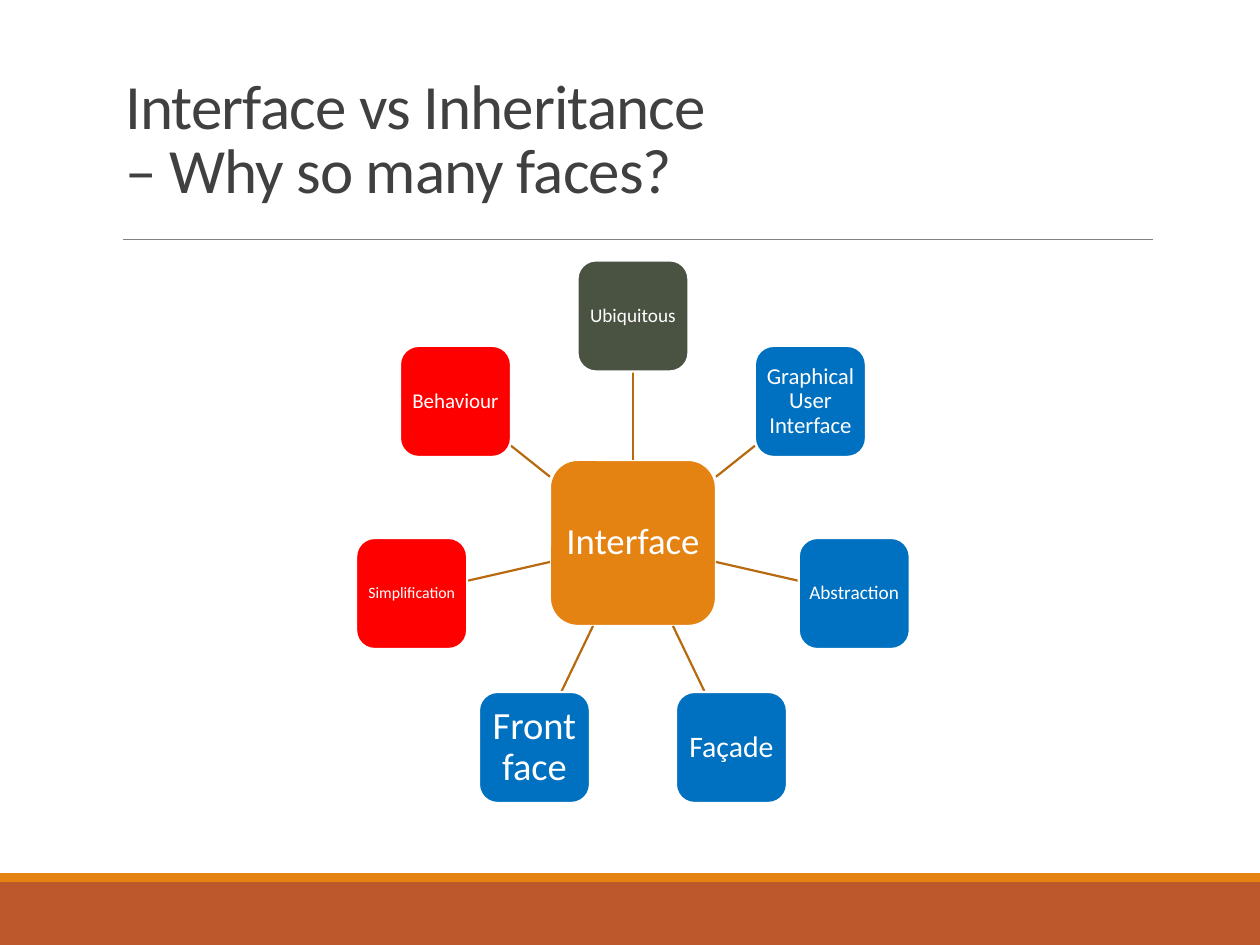
import math

from lxml import etree
from pptx import Presentation
from pptx import util as u
from pptx.dml.color import RGBColor
from pptx.enum import shapes, text
from pptx.oxml.ns import qn

EMU_PER_PX = 914400 / 126
FONT = "Calibri"
COLORS = {
    "rust": "BD582C", "orange": "E48312", "rule": "808080",
    "title": "404040", "spoke": "B7690E", "white": "FFFFFF",
    "olive": "4A5242", "blue": "0070C0", "red": "FF0000",
}

HUB_X, HUB_Y, RADIUS = 633, 543, 227
HUB_SIDE, NODE_SIDE = 166, 111
# Clockwise from the top: label, colour, text size
NODES = [
    ("Ubiquitous", "olive", 11),
    ("Graphical User Interface", "blue", 13),
    ("Abstraction", "blue", 11),
    ("Façade", "blue", 17),
    ("Front face", "blue", 22),
    ("Simplification", "red", 9),
    ("Behaviour", "red", 12),
]


def px(length):
    return u.Emu(round(length * EMU_PER_PX))


def color(name):
    return RGBColor.from_string(COLORS[name])


def style_font(font, size, color_name):
    font.name = FONT
    font.size = u.Pt(size)
    font.color.rgb = color(color_name)


def add_block(slide, kind, left, top, width, height, fill):
    shape = slide.shapes.add_shape(kind, px(left), px(top), px(width), px(height))
    shape.shadow.inherit = False
    shape.fill.solid()
    shape.fill.fore_color.rgb = color(fill)
    shape.line.fill.background()
    return shape


def add_line(slide, start, end, color_name, width):
    line = slide.shapes.add_connector(
        shapes.MSO_CONNECTOR.STRAIGHT, *map(px, (*start, *end)))
    line.line.color.rgb = color(color_name)
    line.line.width = u.Pt(width)
    etree.SubElement(line._element.spPr, qn("a:effectLst"))


def add_title(slide, content):
    box = slide.shapes.add_textbox(px(113), px(39), px(1040), px(174))
    frame = box.text_frame
    frame.word_wrap = True
    frame.vertical_anchor = text.MSO_ANCHOR.BOTTOM
    frame.text = content
    paragraph = frame.paragraphs[0]
    paragraph.line_spacing = 0.85
    for run in paragraph.runs:
        style_font(run.font, 36, "title")
        run.font._element.set("spc", "-50")


def add_node(slide, x, y, side, label, fill, size):
    """Add a rounded square centred on (x, y)."""
    shape = add_block(slide, shapes.MSO_SHAPE.ROUNDED_RECTANGLE,
                      x - side / 2, y - side / 2, side, side, fill)
    shape.line.color.rgb = color("white")
    shape.line.width = u.Pt(1.25)
    frame = shape.text_frame
    frame.word_wrap = True
    frame.vertical_anchor = text.MSO_ANCHOR.MIDDLE
    frame.margin_left = frame.margin_right = px(4)
    frame.margin_top = frame.margin_bottom = px(4)
    frame.text = label
    paragraph = frame.paragraphs[0]
    paragraph.alignment = text.PP_ALIGN.CENTER
    paragraph.line_spacing = 0.9
    style_font(paragraph.runs[0].font, size, "white")


def add_radial_diagram(slide):
    add_node(slide, HUB_X, HUB_Y, HUB_SIDE, "Interface", "orange", 21)
    for index, (label, fill, size) in enumerate(NODES):
        angle = 2 * math.pi * index / len(NODES)
        dx, dy = math.sin(angle), -math.cos(angle)

        def along(distance):
            return HUB_X + dx * distance, HUB_Y + dy * distance

        # A spoke runs between the edges of the two squares
        reach = max(abs(dx), abs(dy))
        start = along(HUB_SIDE / 2 / reach)
        end = along(RADIUS - NODE_SIDE / 2 / reach)
        add_line(slide, start, end, "spoke", 1.25)
        add_node(slide, *along(RADIUS), NODE_SIDE, label, fill, size)


def main():
    presentation = Presentation()
    presentation.slide_width, presentation.slide_height = px(1260), px(945)
    slide = presentation.slides.add_slide(presentation.slide_layouts[6])

    # Footer bands and title rule
    rectangle = shapes.MSO_SHAPE.RECTANGLE
    add_block(slide, rectangle, 0, 882, 1260, 63, "rust")
    add_block(slide, rectangle, 0, 873, 1260, 9, "orange")
    add_line(slide, (123, 239), (1153, 239), "rule", 0.5)

    # Content
    add_title(slide, "Interface vs Inheritance \v– Why so many faces?")
    add_radial_diagram(slide)

    presentation.save("out.pptx")


if __name__ == "__main__":
    main()
